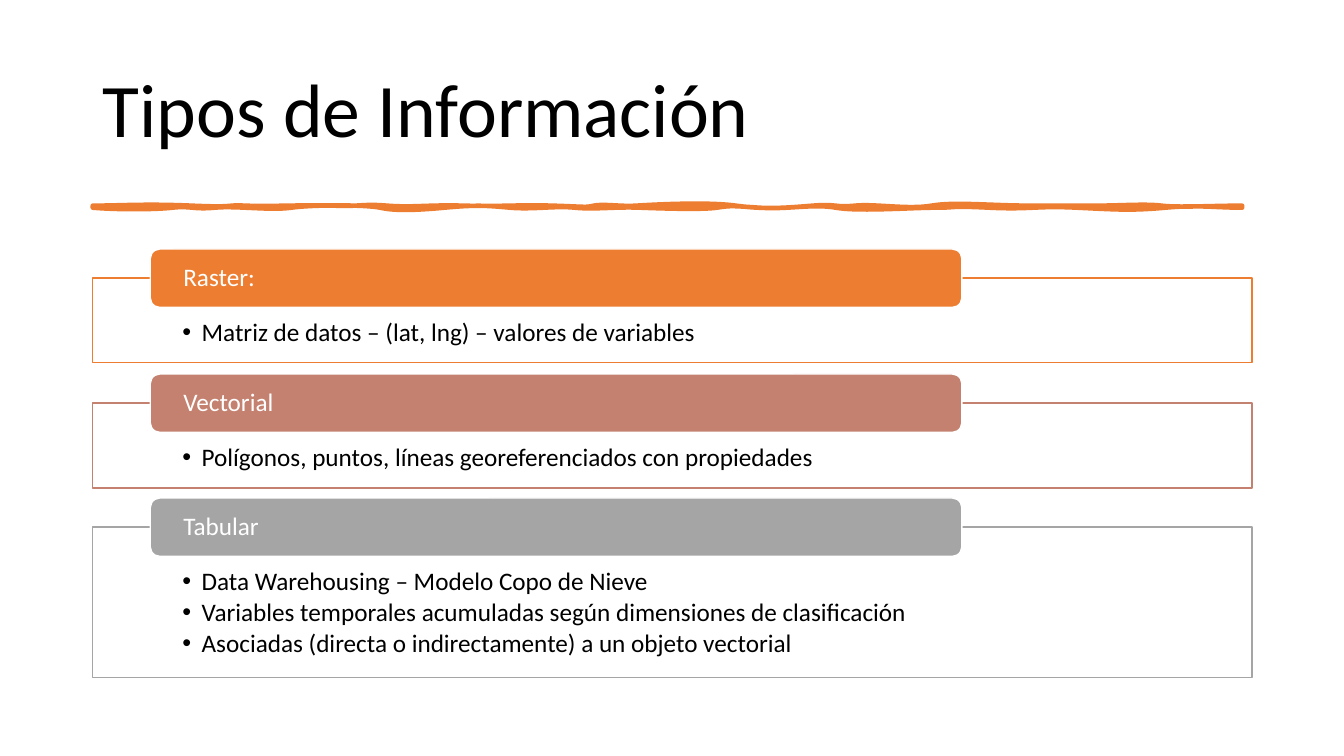
from lxml import etree
from pptx import Presentation
from pptx.dml.color import RGBColor
from pptx.enum.shapes import MSO_SHAPE
from pptx.enum.text import MSO_ANCHOR, PP_ALIGN
from pptx.oxml.ns import qn
from pptx.util import Pt

PX = 9144  # 100 px to the inch
FONT = "Calibri"
ORANGE = RGBColor(0xED, 0x7D, 0x31)
ROSE = RGBColor(0xC4, 0x81, 0x70)
GRAY = RGBColor(0xA5, 0xA5, 0xA5)
WHITE = RGBColor(0xFF, 0xFF, 0xFF)
BLACK = RGBColor(0x00, 0x00, 0x00)
RECTANGLE, ROUNDED = MSO_SHAPE.RECTANGLE, MSO_SHAPE.ROUNDED_RECTANGLE
TOP, MIDDLE = MSO_ANCHOR.TOP, MSO_ANCHOR.MIDDLE
LEFT = PP_ALIGN.LEFT

LEFT_EDGE, CONTENT_WIDTH = 92, 1150
TAB_LEFT, TAB_WIDTH, TAB_HEIGHT = 149, 805, 58
# Heading, color, top, height, bullets
CARDS = [
    ("Raster:", ORANGE, 276, 84, ["Matriz de datos – (lat, lng) – valores de variables"]),
    ("Vectorial", ROSE, 400, 84, [
        "Polígonos, puntos, líneas georeferenciados con propiedades"]),
    ("Tabular", GRAY, 523, 149, [
        "Data Warehousing – Modelo Copo de Nieve",
        "Variables temporales acumuladas según dimensiones de clasificación",
        "Asociadas (directa o indirectamente) a un objeto vectorial",
    ]),
]

# Brush edges: two control points and the end x of each curve
BRUSH_TOP, BRUSH_BOTTOM, BRUSH_END = 204, 206, 1232
TOP_CURVES = [
    (119, 204, 144, 202, 190), (237, 206, 220, 203, 244), (267, 205, 303, 203, 331),
    (360, 205, 359, 202, 384), (410, 206, 423, 203, 460), (498, 205, 514, 203, 548),
    (581, 205, 581, 206, 589), (598, 202, 615, 205, 631), (647, 203, 701, 200, 730),
    (759, 208, 781, 206, 806), (831, 202, 827, 206, 848), (868, 202, 901, 208, 924),
    (947, 200, 982, 204, 1023), (1063, 204, 1063, 204, 1087),
    (1112, 204, 1136, 202, 1152), (1168, 206, 1203, 204, 1232),
]
BOTTOM_CURVES = [
    (1205, 206, 1189, 203, 1156), (1122, 209, 1110, 208, 1068), (1027, 204, 1023, 208, 981),
    (939, 204, 952, 206, 928), (904, 206, 851, 210, 829), (806, 202, 782, 208, 753),
    (724, 204, 725, 204, 711), (698, 208, 661, 207, 635), (609, 205, 590, 208, 570),
    (551, 204, 528, 208, 506), (483, 204, 473, 203, 441), (409, 209, 390, 209, 377),
    (363, 203, 310, 203, 289), (268, 209, 235, 204, 213), (192, 208, 189, 204, 171),
    (154, 208, 114, 208, 92),
]


def write_text(shape, lines, size, color, anchor, insets, space_after=0):
    """Fill a shape with left-aligned paragraphs; insets are left, top, right, bottom."""
    frame = shape.text_frame
    frame.word_wrap = True
    frame.vertical_anchor = anchor
    (frame.margin_left, frame.margin_top,
     frame.margin_right, frame.margin_bottom) = [inset * PX for inset in insets]
    frame.text = "\n".join(lines)
    for para in frame.paragraphs:
        para.alignment = LEFT
        para.line_spacing = 0.9
        para.space_after = Pt(space_after)
        para.font.name = FONT
        para.font.size = Pt(size)
        para.font.color.rgb = color


deck = Presentation()
deck.slide_width, deck.slide_height = 1333 * PX, 750 * PX
page = deck.slides.add_slide(deck.slide_layouts[6])

# Title
title = page.shapes.add_textbox(LEFT_EDGE * PX, 40 * PX, CONTENT_WIDTH * PX, 145 * PX)
write_text(title, ["Tipos de Información"], 54, BLACK, MIDDLE, (10, 5, 10, 5))

# Brush stroke under the title
builder = page.shapes.build_freeform(LEFT_EDGE, BRUSH_TOP, scale=PX)
builder.add_line_segments(
    [(curve[4], BRUSH_TOP) for curve in TOP_CURVES]
    + [(BRUSH_END, BRUSH_BOTTOM)]
    + [(curve[4], BRUSH_BOTTOM) for curve in BOTTOM_CURVES], close=True)
brush = builder.convert_to_shape()
brush.shadow.inherit = False
brush.fill.solid()
brush.fill.fore_color.rgb = ORANGE
brush.line.color.rgb = ORANGE
brush.line.width = Pt(3.25)

# Bend each straight segment of the edges; the short right end stays straight
segments = list(brush._element.iter(qn("a:lnTo")))
for segment, curve in zip(segments, TOP_CURVES + [None] + BOTTOM_CURVES):
    if curve is None:
        continue
    segment.tag = qn("a:cubicBezTo")
    for position in (0, 1):
        x, y = curve[2 * position:2 * position + 2]
        control = segment.makeelement(
            qn("a:pt"), {"x": str(x - LEFT_EDGE), "y": str(y - BRUSH_TOP)})
        segment.insert(position, control)

# Cards, each with a heading tab over its top edge
for heading, color, card_top, card_height, bullets in CARDS:
    card = page.shapes.add_shape(
        RECTANGLE, LEFT_EDGE * PX, card_top * PX, CONTENT_WIDTH * PX, card_height * PX)
    tab = page.shapes.add_shape(
        ROUNDED, TAB_LEFT * PX, (card_top - TAB_HEIGHT // 2) * PX,
        TAB_WIDTH * PX, TAB_HEIGHT * PX)
    for box, fill, line in ((card, WHITE, color), (tab, color, WHITE)):
        box.shadow.inherit = False
        box.fill.solid()
        box.fill.fore_color.rgb = fill
        box.line.color.rgb = line
        box.line.width = Pt(1)
    write_text(card, bullets, 18, BLACK, TOP, (89, 41, 89, 14), space_after=2.7)
    write_text(tab, [heading], 18, WHITE, MIDDLE, (30, 0, 30, 0))
    for para in card.text_frame.paragraphs:
        properties = para._p.get_or_add_pPr()
        properties.set("marL", str(19 * PX))
        properties.set("indent", str(-19 * PX))
        etree.SubElement(properties, qn("a:buFont")).set("typeface", "Arial")
        etree.SubElement(properties, qn("a:buChar")).set("char", "•")
        # Bullets come before the default run properties
        properties.append(properties.find(qn("a:defRPr")))

deck.save("out.pptx")
